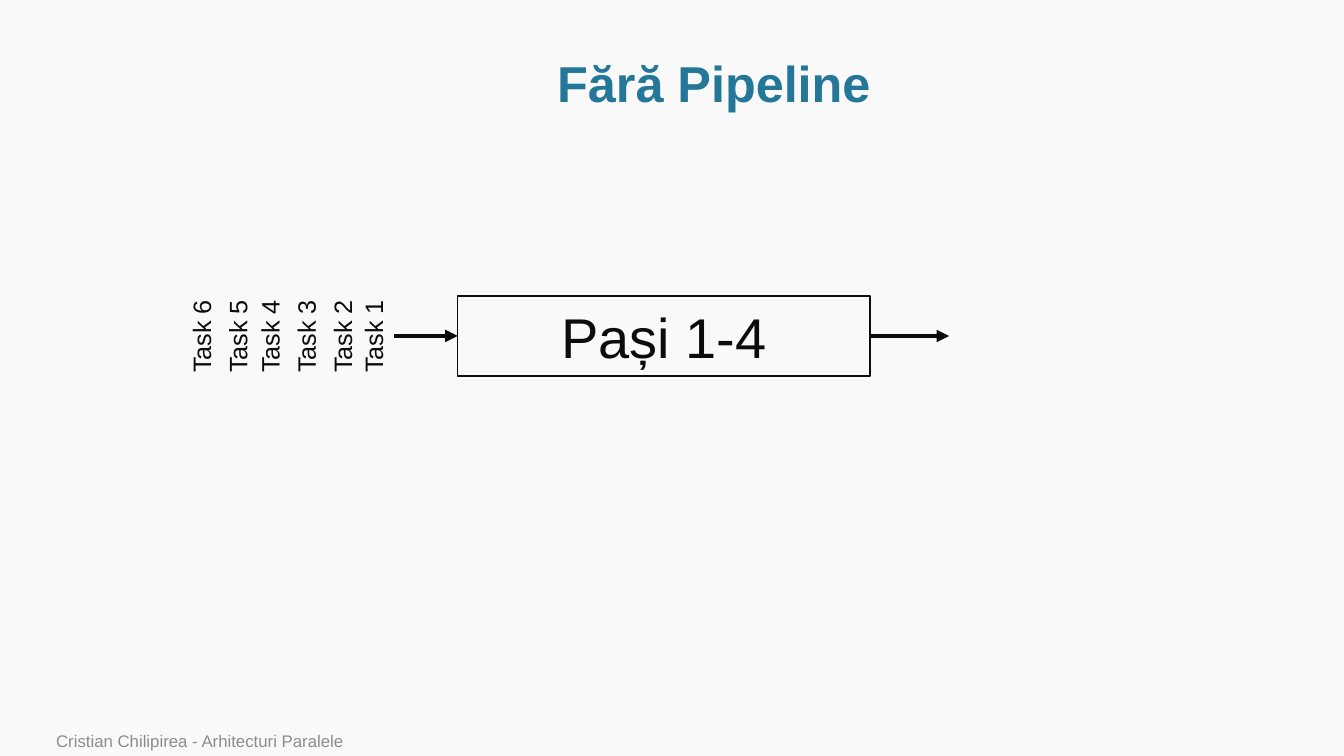
import pptx
import pptx.dml.color
import pptx.enum.shapes
import pptx.enum.text
import pptx.oxml.ns
import pptx.util
from lxml import etree

Pt = pptx.util.Pt
RGB = pptx.dml.color.RGBColor.from_string
ANCHOR = pptx.enum.text.MSO_ANCHOR
ALIGN = pptx.enum.text.PP_ALIGN
qn = pptx.oxml.ns.qn

COLORS = {"bg": "F9F9F9", "title": "247798", "ink": "0C0C0C", "footer": "8C8C8C"}


def set_text(sp, text, size, color, bold=False, frame=None, para=None):
    tf = sp.text_frame
    tf.text = text
    p = tf.paragraphs[0]
    font = {"name": "Arial", "size": Pt(size), "bold": bold}
    for obj, values in ((tf, frame or {}), (p, para or {}), (p.runs[0].font, font)):
        for name, value in values.items():
            setattr(obj, name, value)
    p.runs[0].font.color.rgb = RGB(COLORS[color])


def add_title(s, x, y, w, h):
    sp = s.shapes.title
    for name, value in {"left": x, "top": y, "width": w, "height": h}.items():
        setattr(sp, name, Pt(value))
    set_text(sp, "Fără Pipeline", 36, "title", bold=True,
             frame={"vertical_anchor": ANCHOR.MIDDLE, "word_wrap": True},
             para={"alignment": ALIGN.CENTER, "line_spacing": 0.9})


def add_arrow(s, x1, x2, y):
    c = s.shapes.add_connector(pptx.enum.shapes.MSO_CONNECTOR.STRAIGHT,
                               Pt(x1), Pt(y), Pt(x2), Pt(y))
    c.line.width = Pt(3)
    c.line.color.rgb = RGB(COLORS["ink"])
    etree.SubElement(c.line._get_or_add_ln(), qn("a:tailEnd"), type="triangle")
    etree.SubElement(c._element.spPr, qn("a:effectLst"))
    return c


def add_stage(s, x, y, w, h):
    # Box holding all four steps
    sp = s.shapes.add_shape(pptx.enum.shapes.MSO_SHAPE.RECTANGLE,
                            Pt(x), Pt(y), Pt(w), Pt(h))
    sp.shadow.inherit = False
    sp.fill.background()
    sp.line.width = Pt(1)
    sp.line.color.rgb = RGB(COLORS["ink"])
    set_text(sp, "Pași 1-4", 40, "ink",
             frame={"vertical_anchor": ANCHOR.MIDDLE, "word_wrap": True},
             para={"alignment": ALIGN.CENTER})

    # Arrows into and out of the box
    mid = y + h / 2
    add_arrow(s, x - 45.5, x, mid).end_connect(sp, 1)
    add_arrow(s, x + w, x + w + 56.5, mid).begin_connect(sp, 3)


def add_queue(s, x, y, w, h):
    # Waiting tasks, turned upright, the first one nearest the box
    length, thickness = 67, 29
    offsets = (123, 100.8, 74.8, 49, 26, 0)
    for number, offset in enumerate(offsets, 1):
        center = x + thickness / 2 + offset
        sp = s.shapes.add_textbox(Pt(center - length / 2), Pt(y + (h - thickness) / 2),
                                  Pt(length), Pt(thickness))
        sp.rotation = 270
        set_text(sp, f"Task {number}", 18, "ink",
                 frame={"word_wrap": False,
                        "auto_size": pptx.enum.text.MSO_AUTO_SIZE.SHAPE_TO_FIT_TEXT})


def add_footer(s, x, y, w, h):
    sp = s.shapes.add_textbox(Pt(x), Pt(y), Pt(w), Pt(h))
    set_text(sp, "Cristian Chilipirea - Arhitecturi Paralele", 12, "footer",
             frame={"vertical_anchor": ANCHOR.BOTTOM, "word_wrap": True})


def main():
    prs = pptx.Presentation()
    prs.slide_width, prs.slide_height = Pt(960), Pt(540)
    s = prs.slides.add_slide(prs.slide_layouts[5])
    s.background.fill.solid()
    s.background.fill.fore_color.rgb = RGB(COLORS["bg"])

    add_title(s, 82, 36.5, 856, 50)
    add_stage(s, 327, 211.5, 294.5, 57)
    add_queue(s, 129.2, 206.5, 152, 67)
    add_footer(s, 33, 520, 707, 20)
    prs.save("out.pptx")


if __name__ == "__main__":
    main()
